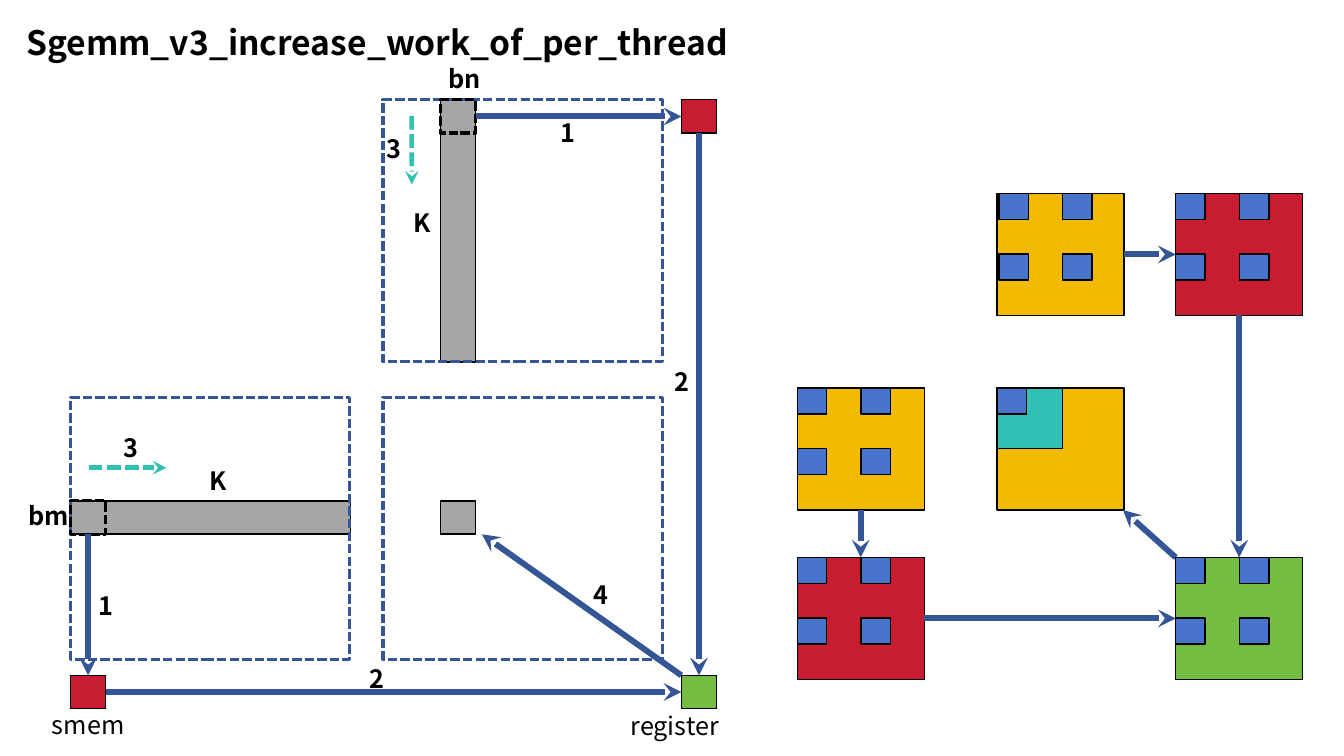
from lxml.etree import SubElement
from pptx import Presentation
from pptx.dml.color import RGBColor
from pptx.enum.dml import MSO_LINE
from pptx.enum.shapes import MSO_CONNECTOR, MSO_SHAPE
from pptx.enum.text import MSO_ANCHOR, MSO_AUTO_SIZE, PP_ALIGN
from pptx.oxml.ns import qn
from pptx.util import Pt

BLACK, NAVY, TEAL = "000000", "355696", "30C0B4"
GOLD, RED, GREEN = "F2BA02", "C81D31", "75BD42"
GREY, BLUE = "A6A6A6", "4874CB"
TOP, LEFT, BOTTOM, RIGHT = range(4)


def color(value):
    return RGBColor.from_string(value)


def write(frame, text, size=18, bold=True, align=PP_ALIGN.CENTER):
    frame.word_wrap = True
    frame.auto_size = MSO_AUTO_SIZE.SHAPE_TO_FIT_TEXT
    frame.vertical_anchor = MSO_ANCHOR.TOP
    para = frame.paragraphs[0]
    para.alignment = align
    span = para.add_run()
    span.text = text
    span.font.name = SlideBuilder.font
    span.font.size = Pt(size)
    span.font.bold = bold
    span.font.color.rgb = color(BLACK)


class SlideBuilder:
    font = "Noto Sans CJK JP"

    def __init__(self, deck):
        self.page = deck.slides.add_slide(deck.slide_layouts[5])

    def title(self, text, left, top, width, height):
        box = self.page.shapes.title
        box.left, box.top, box.width, box.height = map(Pt, (left, top, width, height))
        write(box.text_frame, text, size=24, align=PP_ALIGN.LEFT)

    def rectangle(self, left, top, width, height, fill=None, line=BLACK, dashed=False):
        box = self.page.shapes.add_shape(
            MSO_SHAPE.RECTANGLE, *map(Pt, (left, top, width, height)))
        box.shadow.inherit = False
        if fill:
            box.fill.solid()
            box.fill.fore_color.rgb = color(fill)
        else:
            box.fill.background()
        box.line.color.rgb = color(line)
        box.line.width = Pt(2.25 if dashed else 1)
        if dashed:
            box.line.dash_style = MSO_LINE.SQUARE_DOT
        return box

    def label(self, text, left, top, width=50.4, **style):
        box = self.page.shapes.add_textbox(*map(Pt, (left, top, width, 29)))
        write(box.text_frame, text, **style)

    def arrow(self, start=(0, 0), end=(0, 0), line=NAVY, width=4.25, dashed=False):
        connector = self.page.shapes.add_connector(
            MSO_CONNECTOR.STRAIGHT, *map(Pt, (*start, *end)))
        connector.line.color.rgb = color(line)
        connector.line.width = Pt(width)
        if dashed:
            connector.line.dash_style = MSO_LINE.SQUARE_DOT
        SubElement(connector.line._get_or_add_ln(), qn("a:tailEnd"), type="stealth")
        SubElement(connector._element.spPr, qn("a:effectLst"))
        return connector

    def join(self, source, source_side, target, target_side):
        connector = self.arrow()
        connector.begin_connect(source, source_side)
        connector.end_connect(target, target_side)


def draw_block_flow(slide):
    cell = (25.2, 23.8)
    frame = (199.4, 187.2)
    a_left, b_left, register_left = 50.4, 273.6, 486.7
    b_top, a_top, smem_top = 71.3, 283.7, 482.4
    column, row = 314.6, 357.8

    # Matrix strips and the result cell
    slide.rectangle(column, row, *cell, fill=GREY)
    slide.rectangle(a_left + 0.5, row, frame[0], cell[1], fill=GREY)
    slide.rectangle(column, b_top, cell[0], frame[1], fill=GREY)

    # Matrix outlines
    for left, top in ((b_left, a_top), (a_left, a_top), (b_left, b_top)):
        slide.rectangle(left, top, *frame, line=NAVY, dashed=True)

    # Current blocks, shared memory and registers
    a_block = slide.rectangle(a_left, row, *cell, dashed=True)
    b_block = slide.rectangle(column, b_top, *cell, dashed=True)
    a_smem = slide.rectangle(a_left, smem_top, *cell, fill=RED)
    b_smem = slide.rectangle(register_left, b_top, *cell, fill=RED)
    register = slide.rectangle(register_left, smem_top, *cell, fill=GREEN)

    # Data movement
    slide.join(b_block, RIGHT, b_smem, LEFT)
    slide.join(a_block, BOTTOM, a_smem, TOP)
    slide.join(a_smem, RIGHT, register, LEFT)
    slide.join(b_smem, BOTTOM, register, TOP)
    slide.arrow((register_left, smem_top), (344.2, 381.6))
    for start, end in (((63.4, 334.1), (118.8, 334.1)), ((294, 82.8), (294.2, 131.8))):
        slide.arrow(start, end, line=TEAL, width=3.25, dashed=True)

    # Step numbers and dimensions
    for text, left, top in (
            ("1", 50.4, 418.3), ("1", 380.2, 80.6),
            ("2", 244.1, 470.2), ("2", 462.2, 257.8),
            ("3", 68.4, 305.3), ("3", 256.3, 91.4),
            ("4", 403.9, 410.4)):
        slide.label(text, left, top)
    slide.label("K", 126.7, 329, width=58.3)
    slide.label("K", 272.2, 144.7, width=58.3)
    slide.label("bm", 13, 353.5, width=44.6, align=PP_ALIGN.LEFT)
    slide.label("bn", 313.2, 41.8, width=44.6, align=PP_ALIGN.LEFT)
    slide.label("smem", 21.6, 503.3, width=82.8, bold=False)
    slide.label("register", 440.6, 504, width=82.8, bold=False)


def draw_thread_flow(slide):
    tile = (90.7, 87.1)
    thread = (21, 18.7)
    pitch = (45.6, 43.2)
    left, middle, right = 569.5, 712.1, 839.8
    top, center, bottom = 138.2, 277.2, 398.2

    # Tiles
    slide.rectangle(middle, center, *tile, fill=GOLD)
    slide.rectangle(middle, center, 46.8, 43.2, fill=TEAL)
    a_tile = slide.rectangle(left, center, *tile, fill=GOLD)
    b_tile = slide.rectangle(middle, top, *tile, fill=GOLD)
    b_smem = slide.rectangle(right, top, *tile, fill=RED)
    a_smem = slide.rectangle(left, bottom, *tile, fill=RED)
    register = slide.rectangle(right, bottom, *tile, fill=GREEN)

    # Data movement
    slide.join(a_tile, BOTTOM, a_smem, TOP)
    slide.join(b_tile, RIGHT, b_smem, LEFT)
    slide.join(a_smem, RIGHT, register, LEFT)
    slide.join(b_smem, BOTTOM, register, TOP)
    slide.arrow((right, bottom), (802.1, 364.3))

    # Work of one thread: a two by two grid in each tile
    slide.rectangle(middle, center, *thread, fill=BLUE)
    for x, y in ((left, center), (middle + 1.4, top), (left, bottom),
                 (right, top), (right, bottom)):
        for index in range(4):
            across, down = divmod(index, 2)
            slide.rectangle(x + across * pitch[0], y + down * pitch[1], *thread, fill=BLUE)


def main():
    deck = Presentation()
    deck.slide_width, deck.slide_height = Pt(960), Pt(540)
    slide = SlideBuilder(deck)
    slide.title("Sgemm_v3_increase_work_of_per_thread", 11.5, 12.2, 546.5, 36)
    draw_thread_flow(slide)
    draw_block_flow(slide)
    deck.save("out.pptx")


if __name__ == "__main__":
    main()
